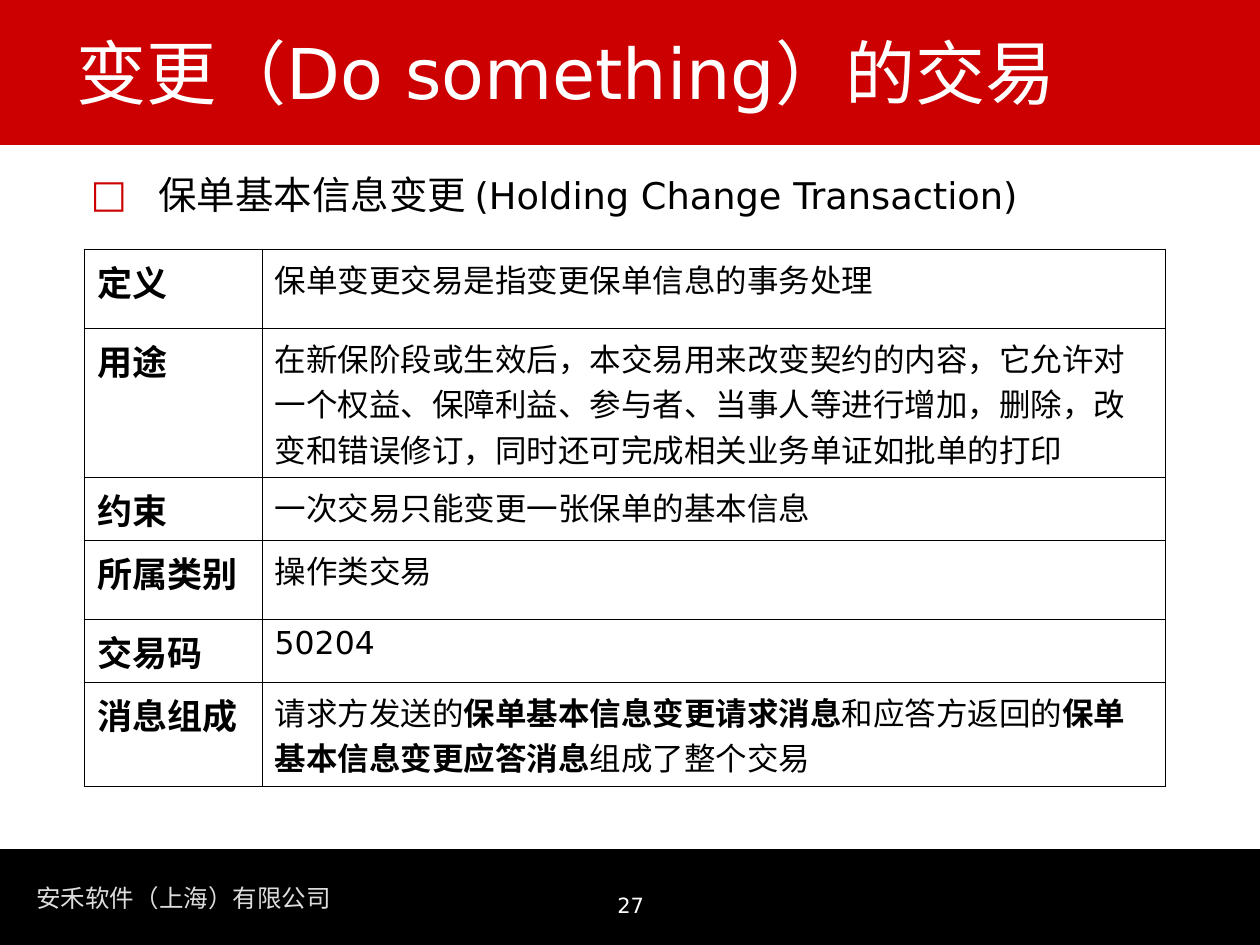
from lxml.etree import SubElement
from pptx import Presentation
from pptx.dml.color import RGBColor
from pptx.enum.shapes import MSO_SHAPE
from pptx.enum.text import MSO_ANCHOR, PP_ALIGN
from pptx.oxml.ns import qn
from pptx.util import Inches, Pt

deck = Presentation()
deck.slide_width, deck.slide_height = Inches(10), Inches(7.5)
col, row = deck.slide_width / 100, deck.slide_height / 100
slide = deck.slides.add_slide(deck.slide_layouts[6])


def hue(code):
    return RGBColor.from_string(code)


def put(frame, runs, code):
    para = frame.paragraphs[0]
    for text, size, bold in runs:
        run = para.add_run()
        run.text = text
        form = {"name": "DejaVu Sans", "size": Pt(size), "bold": bold}
        for key, val in form.items():
            setattr(run.font, key, val)
        run.font.color.rgb = hue(code)
    return para


bars = [(89.87, 10.13, "000000"), (0, 15.33, "CC0000")]
for top, high, code in bars:
    bar = slide.shapes.add_shape(
        MSO_SHAPE.RECTANGLE, 0, int(top * row), int(100 * col), int(high * row))
    bar.shadow.inherit = False
    bar.fill.solid()
    bar.fill.fore_color.rgb = hue(code)
    bar.line.color.rgb = hue(code)
    bar.line.width = Pt(0.75)

left, mid = PP_ALIGN.LEFT, PP_ALIGN.CENTER
high, low = MSO_ANCHOR.TOP, MSO_ANCHOR.BOTTOM
firm = [("安禾软件（上海）有限公司", 14, False)]
page = [("27", 12, False)]
title = [("变更（Do something）的交易", 40, False)]
lead = [("保单基本信息变更 ", 22, False), ("(Holding Change Transaction)", 21, False)]
boxes = [
    ((1.9, 92.8, 25.4, 4.53), firm, "DDDDDD", left, high, False),
    ((34.2, 90.9, 31.7, 6.93), page, "FFFFFF", mid, low, True),
    ((5.1, 3.73, 87.5, 8.93), title, "FFFFFF", left, low, True),
    ((6.2, 17.47, 87.1, 8.93), lead, "000000", left, high, True),
]
for (x, y, w, h), runs, code, align, anchor, wrap in boxes:
    box = slide.shapes.add_textbox(int(x * col), int(y * row), int(w * col), int(h * row))
    frame = box.text_frame
    form = {"word_wrap": wrap, "vertical_anchor": anchor}
    for key, val in form.items():
        setattr(frame, key, val)
    para = put(frame, runs, code)
    para.alignment = align
    if runs is lead:
        props = para._p.get_or_add_pPr()
        props.set("marL", str(int(5.4 * col)))
        props.set("indent", str(int(-5.4 * col)))
        tint = SubElement(props, qn("a:buClr"))
        SubElement(tint, qn("a:srgbClr"), val="CC0000")
        SubElement(props, qn("a:buFont"), typeface="DejaVu Sans")
        SubElement(props, qn("a:buChar"), char="□")

facts = [
    ("定义", 8.36, [("保单变更交易是指变更保单信息的事务处理", 18, False)]),
    ("用途", 15.77, [("在新保阶段或生效后，本交易用来改变契约的内容，它允许对"
                    "一个权益、保障利益、参与者、当事人等进行增加，删除，改"
                    "变和错误修订，同时还可完成相关业务单证如批单的打印", 18, False)]),
    ("约束", 6.67, [("一次交易只能变更一张保单的基本信息", 18, False)]),
    ("所属类别", 8.36, [("操作类交易", 18, False)]),
    ("交易码", 6.67, [("50204", 18, False)]),
    ("消息组成", 11, [
        ("请求方发送的", 18, False),
        ("保单基本信息变更请求消息", 18, True),
        ("和应答方返回的", 18, False),
        ("保单基本信息变更应答消息", 18, True),
        ("组成了整个交易", 18, False),
    ]),
]
tall = sum(fact[1] for fact in facts)
grid = slide.shapes.add_table(
    len(facts), 2, int(6.7 * col), int(26.4 * row), int(85.8 * col), int(tall * row)).table
grid.first_row = grid.horz_banding = False
for item, wide in zip(grid.columns, (14.1, 71.7)):
    item.width = int(wide * col)
for i, (label, size, runs) in enumerate(facts):
    grid.rows[i].height = int(size * row)
    for j, part in enumerate(([(label, 20, True)], runs)):
        cell = grid.cell(i, j)
        put(cell.text_frame, part, "000000")
        props = cell._tc.get_or_add_tcPr()
        edges = {"L": j == 0, "R": j == 1, "T": i == 0, "B": i == len(facts) - 1}
        for side, outer in edges.items():
            edge = SubElement(props, qn("a:ln" + side), w=str(Pt(1.08 if outer else 0.45)))
            SubElement(SubElement(edge, qn("a:solidFill")), qn("a:srgbClr"), val="000000")
        cell.fill.background()

deck.save("out.pptx")
